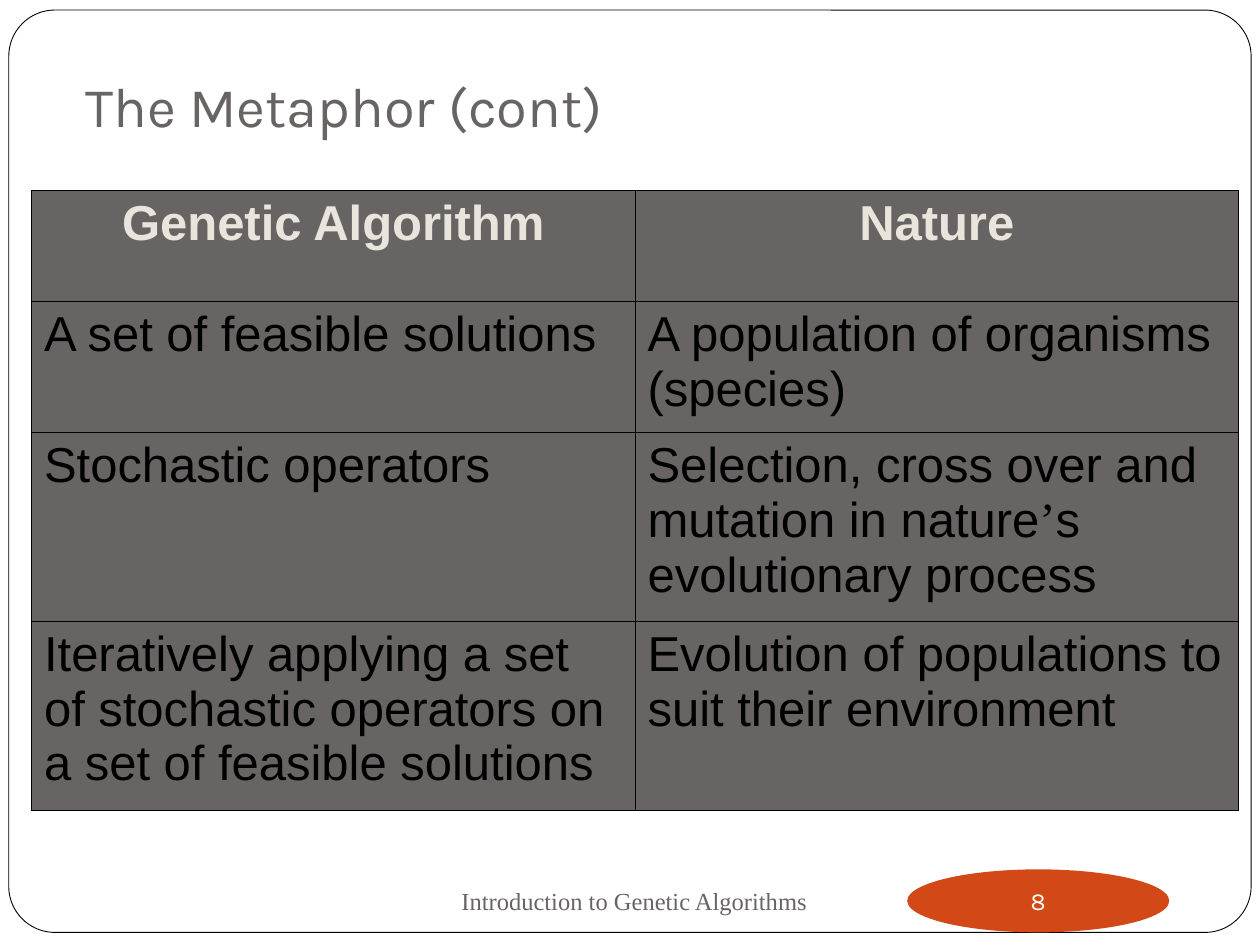
from dataclasses import dataclass

from lxml.etree import SubElement
from pptx import Presentation
from pptx.dml.color import RGBColor
from pptx.enum.shapes import MSO_SHAPE
from pptx.enum.text import MSO_ANCHOR, MSO_AUTO_SIZE, PP_ALIGN
from pptx.oxml.ns import qn
from pptx.util import Inches, Pt


@dataclass(frozen=True)
class Theme:
    """Colours, fonts and type sizes of the deck."""
    paper: str = "FFFFFF"
    ink: str = "000000"
    grey: str = "696464"
    cream: str = "E9E5DC"
    accent: str = "D34817"
    heading: str = "Karla"
    body: str = "Arial"
    serif: str = "Times New Roman"
    title_size: int = 32
    table_size: int = 28
    footer_size: int = 14
    border: float = 0.45


class SlideBuilder:
    """Holds the theme and the current slide and adds elements to it."""

    def __init__(self, prs, theme):
        """Start a title-only slide."""
        self.t = theme
        self.s = prs.slides.add_slide(prs.slide_layouts[5])

    def text(self, tf, text, font, size, color, bold=False, align=PP_ALIGN.LEFT, **frame):
        """Fill a text frame, setting curly apostrophes in the serif font."""
        for name, value in frame.items():
            setattr(tf, name, value)
        p = tf.paragraphs[0]
        p.alignment = align
        for part in filter(None, text.partition("’")):
            r = p.add_run()
            r.text = part
            values = {"name": self.t.serif if part == "’" else font,
                      "size": Pt(size), "bold": bold}
            for name, value in values.items():
                setattr(r.font, name, value)
            r.font.color.rgb = RGBColor.from_string(color)

    def shape(self, kind, box, fill, line=None):
        """Add a filled preset shape with an optional outline."""
        sp = self.s.shapes.add_shape(kind, *map(Inches, box))
        sp.shadow.inherit = False
        sp.fill.solid()
        sp.fill.fore_color.rgb = RGBColor.from_string(fill)
        if line:
            sp.line.color.rgb = RGBColor.from_string(line)
            sp.line.width = Pt(0.5)
        else:
            sp.line.fill.background()
        return sp

    def frame(self, box):
        """Add the rounded page frame behind everything else."""
        sp = self.shape(MSO_SHAPE.ROUNDED_RECTANGLE, box, self.t.paper, self.t.ink)
        sp.adjustments[0] = 0.05
        self.s.shapes.element.insert(2, sp.element)

    def title(self, text, box):
        """Place and fill the title placeholder."""
        sp = self.s.shapes.title
        for name, value in zip(("left", "top", "width", "height"), box):
            setattr(sp, name, Inches(value))
        self.text(sp.text_frame, text, self.t.heading, self.t.title_size, self.t.grey,
                  vertical_anchor=MSO_ANCHOR.BOTTOM, margin_bottom=Inches(0.1),
                  auto_size=MSO_AUTO_SIZE.NONE)

    def cell(self, cell, text, header):
        """Fill and outline one table cell."""
        tcPr = cell._tc.get_or_add_tcPr()
        for side in ("a:lnL", "a:lnR", "a:lnT", "a:lnB"):
            ln = SubElement(tcPr, qn(side), w=str(Pt(self.t.border)))
            fill = SubElement(ln, qn("a:solidFill"))
            SubElement(fill, qn("a:srgbClr"), val=self.t.ink)
        cell.fill.solid()
        cell.fill.fore_color.rgb = RGBColor.from_string(self.t.grey)
        self.text(cell.text_frame, text, self.t.body, self.t.table_size,
                  self.t.cream if header else self.t.ink, header,
                  PP_ALIGN.CENTER if header else PP_ALIGN.LEFT)

    def table(self, rows, box, heights):
        """Add a table with equal columns and a header row."""
        tbl = self.s.shapes.add_table(len(rows), len(rows[0]), *map(Inches, box)).table
        for i, (texts, height) in enumerate(zip(rows, heights)):
            tbl.rows[i].height = Inches(height)
            for j, text in enumerate(texts):
                self.cell(tbl.cell(i, j), text, i == 0)

    def footer(self, text, box):
        """Add the centred footer text."""
        sp = self.s.shapes.add_textbox(*map(Inches, box))
        self.text(sp.text_frame, text, self.t.serif, self.t.footer_size, self.t.grey,
                  align=PP_ALIGN.CENTER, word_wrap=True, vertical_anchor=MSO_ANCHOR.MIDDLE)

    def page_number(self, number, box):
        """Add the page number in an ellipse."""
        sp = self.shape(MSO_SHAPE.OVAL, box, self.t.accent)
        margins = {f"margin_{side}": 0 for side in ("left", "top", "right", "bottom")}
        self.text(sp.text_frame, str(number), self.t.heading, self.t.footer_size, self.t.paper,
                  align=PP_ALIGN.CENTER, word_wrap=False,
                  vertical_anchor=MSO_ANCHOR.MIDDLE, **margins)


def main():
    """Build and save the slide."""
    prs = Presentation()
    prs.slide_width, prs.slide_height = Inches(10), Inches(7.5)
    b = SlideBuilder(prs, Theme())
    b.frame((0.07, 0.08, 9.86, 7.32))
    b.title("The Metaphor (cont)", (0.58, 0.5, 8.5, 0.7))
    rows = [
        ("Genetic Algorithm", "Nature"),
        ("A set of feasible solutions", "A population of organisms (species)"),
        ("Stochastic operators",
         "Selection, cross over and mutation in nature’s evolutionary process"),
        ("Iteratively applying a set of stochastic operators on a set of feasible solutions",
         "Evolution of populations to suit their environment"),
    ]
    b.table(rows, (0.25, 1.51, 9.58, 4.92), (0.88, 1.04, 1.5, 1.5))
    b.footer("Introduction to Genetic Algorithms", (3.45, 6.9, 3.17, 0.5))
    b.page_number(8, (7.2, 6.9, 2.08, 0.5))
    prs.save("out.pptx")


if __name__ == "__main__":
    main()
